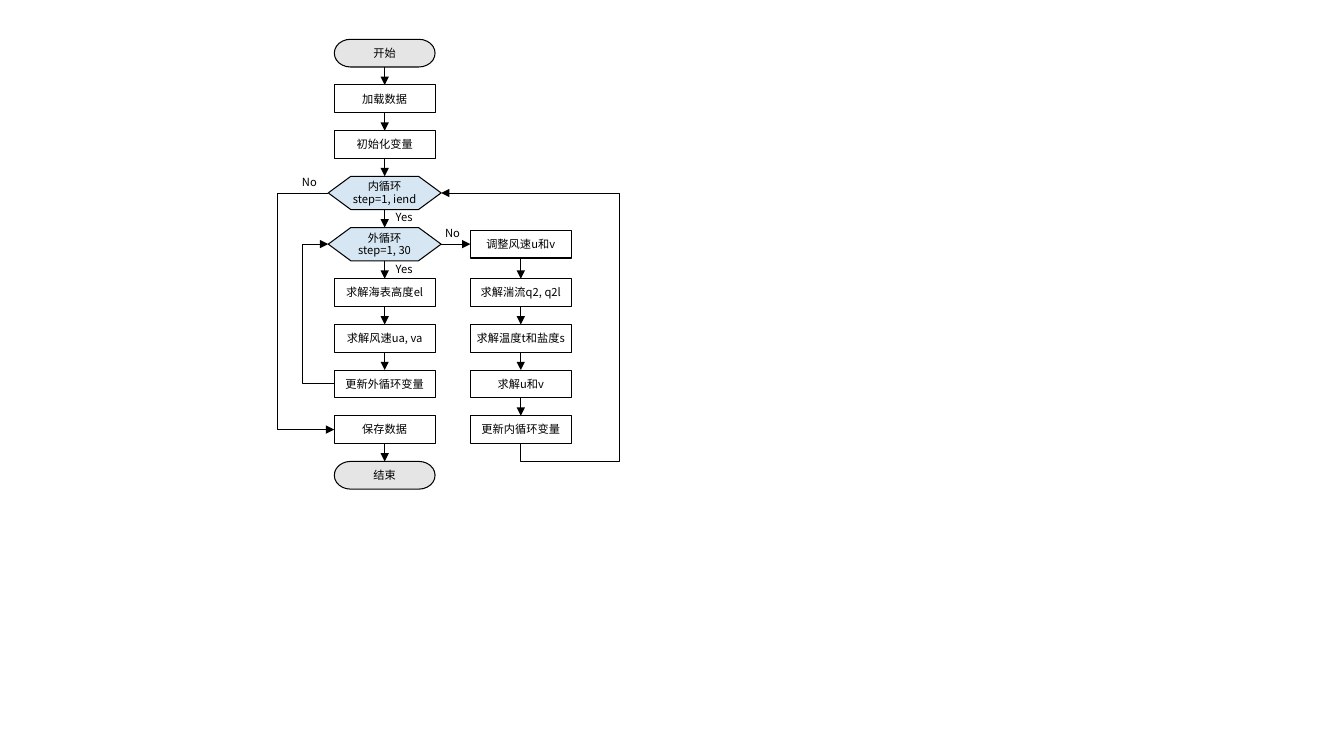
from dataclasses import dataclass
from itertools import pairwise

from lxml.etree import SubElement
from pptx import Presentation
from pptx.dml.color import RGBColor
from pptx.enum.shapes import MSO_CONNECTOR, MSO_SHAPE
from pptx.enum.text import MSO_ANCHOR, PP_ALIGN
from pptx.oxml.ns import qn
from pptx.util import Inches, Pt


@dataclass(frozen=True)
class Theme:
    ink: RGBColor = RGBColor.from_string("000000")
    terminal: RGBColor = RGBColor.from_string("E5E5E5")
    decision: RGBColor = RGBColor.from_string("D6E6F2")
    font: str = "Noto Sans CJK SC"
    text_size: Pt = Pt(8)
    outline: Pt = Pt(0.75)
    arrow: Pt = Pt(0.5)
    spacing: float = 0.93


@dataclass(frozen=True)
class Grid:
    left: float
    top: float
    column: float
    row: float

    def x(self, columns):
        return int(self.left + columns * self.column)

    def y(self, rows):
        return int(self.top + rows * self.row)

    def place(self, left, top, width, height):
        return (self.x(left), self.y(top),
                int(width * self.column), int(height * self.row))


THEME = Theme()
FRAME_FORMAT = {
    "margin_left": Inches(0.1), "margin_right": Inches(0.1),
    "margin_top": Inches(0.06), "margin_bottom": Inches(0.05),
}
FONT_FORMAT = {"name": THEME.font, "size": THEME.text_size}
TOP, LEFT, BOTTOM, RIGHT = range(4)

COLUMNS, GAP = 34, 0.65
MAIN_CENTRE, SIDE_CENTRE = 10.7, 24.2
OUTER_LANE, EXIT_LANE, RETURN_LANE = 2.5, 0, 34
KINDS = {
    "terminal": (MSO_SHAPE.FLOWCHART_TERMINATOR, 10, 1, THEME.terminal),
    "process": (MSO_SHAPE.FLOWCHART_PROCESS, 10, 1, None),
    "decision": (MSO_SHAPE.FLOWCHART_PREPARATION, 11.2, 1.2, THEME.decision),
}
MAIN_STEPS = [
    ("terminal", "开始"), ("process", "加载数据"), ("process", "初始化变量"),
    ("decision", "内循环\nstep=1, iend"), ("decision", "外循环\nstep=1, 30"),
    ("process", "求解海表高度el"), ("process", "求解风速ua, va"),
    ("process", "更新外循环变量"), ("process", "保存数据"), ("terminal", "结束"),
]
INNER, OUTER, UPDATE, SAVE = 3, 4, 7, 8
SIDE_STEPS = ["调整风速u和v", "求解湍流q2, q2l", "求解温度t和盐度s",
              "求解u和v", "更新内循环变量"]
BRANCH_LABELS = [("No", 1.5, 4.74), ("Yes", 10.8, 6.01),
                 ("No", 15.7, 6.59), ("Yes", 10.8, 7.87)]
ROWS = sum(KINDS[kind][2] + GAP for kind, _ in MAIN_STEPS) - GAP


def apply(target, formats):
    for attribute, value in formats.items():
        setattr(target, attribute, value)


def write(frame, text, formats, alignment):
    apply(frame, {**FRAME_FORMAT, **formats})
    frame.text = text
    for paragraph in frame.paragraphs:
        apply(paragraph, {"alignment": alignment, "line_spacing": THEME.spacing})
        for run in paragraph.runs:
            apply(run.font, FONT_FORMAT)
            run.font.color.rgb = THEME.ink
            SubElement(run.font._element, qn("a:ea"), typeface=THEME.font)


def add_step(slide, grid, kind, text, centre, middle):
    preset, width, height, fill = KINDS[kind]
    step = slide.shapes.add_shape(preset, *grid.place(
        centre - width / 2, middle - height / 2, width, height))
    step.shadow.inherit = False
    if fill is None:
        step.fill.background()
    else:
        step.fill.solid()
        step.fill.fore_color.rgb = fill
    step.line.color.rgb = THEME.ink
    step.line.width = THEME.outline
    write(step.text_frame, text,
          {"word_wrap": False, "vertical_anchor": MSO_ANCHOR.MIDDLE},
          PP_ALIGN.CENTER)
    return step


def add_label(slide, grid, text, left, top):
    label = slide.shapes.add_textbox(*grid.place(left, top, 5.5, 0.8))
    write(label.text_frame, text, {"word_wrap": True}, PP_ALIGN.LEFT)


def join(slide, start, start_side, end, end_side,
         route=MSO_CONNECTOR.STRAIGHT, arrow_end="a:tailEnd"):
    arrow = slide.shapes.add_connector(route, 0, 0, 0, 0)
    arrow.begin_connect(start, start_side)
    arrow.end_connect(end, end_side)
    arrow.line.color.rgb = THEME.ink
    arrow.line.width = THEME.arrow
    SubElement(arrow.line._get_or_add_ln(), qn(arrow_end), type="triangle")
    SubElement(arrow._element.spPr, qn("a:effectLst"))
    return arrow


def bend(arrow, lane_x, lane_y=None):
    shares = [(lane_x - arrow.begin_x) / (arrow.end_x - arrow.begin_x)]
    if lane_y is not None:
        shares.append((lane_y - arrow.begin_y) / (arrow.end_y - arrow.begin_y))
    geometry = arrow._element.spPr.find(qn("a:prstGeom"))
    geometry.set("prst", f"bentConnector{len(shares) + 2}")
    adjustments = geometry.find(qn("a:avLst"))
    for number, share in enumerate(shares, 1):
        SubElement(adjustments, qn("a:gd"), name=f"adj{number}",
                   fmla=f"val {round(share * 100000)}")


def add_flowchart(slide, left, top, width, height):
    grid = Grid(left, top, width / COLUMNS, height / ROWS)
    main, middles, row = [], [], 0
    for kind, text in MAIN_STEPS:
        step_height = KINDS[kind][2]
        middles.append(row + step_height / 2)
        main.append(add_step(slide, grid, kind, text, MAIN_CENTRE, middles[-1]))
        row += step_height + GAP
    side = [add_step(slide, grid, "process", text, SIDE_CENTRE, middle)
            for text, middle in zip(SIDE_STEPS, middles[OUTER:])]
    for label in BRANCH_LABELS:
        add_label(slide, grid, *label)

    for upper, lower in [*pairwise(main[:SAVE]), *pairwise(main[SAVE:]),
                         *pairwise(side)]:
        join(slide, upper, BOTTOM, lower, TOP)
    join(slide, main[OUTER], RIGHT, side[0], LEFT)

    elbow = MSO_CONNECTOR.ELBOW
    bend(join(slide, main[UPDATE], LEFT, main[OUTER], LEFT, elbow),
         grid.x(OUTER_LANE))
    bend(join(slide, main[INNER], LEFT, main[SAVE], LEFT, elbow),
         grid.x(EXIT_LANE))
    bend(join(slide, main[INNER], RIGHT, side[-1], BOTTOM, elbow, "a:headEnd"),
         grid.x(RETURN_LANE), grid.y(middles[SAVE] + 0.5 + GAP))


def build():
    deck = Presentation()
    apply(deck, {"slide_width": Inches(13.33), "slide_height": Inches(7.5)})
    slide = deck.slides.add_slide(deck.slide_layouts[6])
    across, down = deck.slide_width / 100, deck.slide_height / 100
    add_flowchart(slide, 20.6 * across, 5.2 * down, 25.5 * across, 59.5 * down)
    deck.save("out.pptx")


build()
